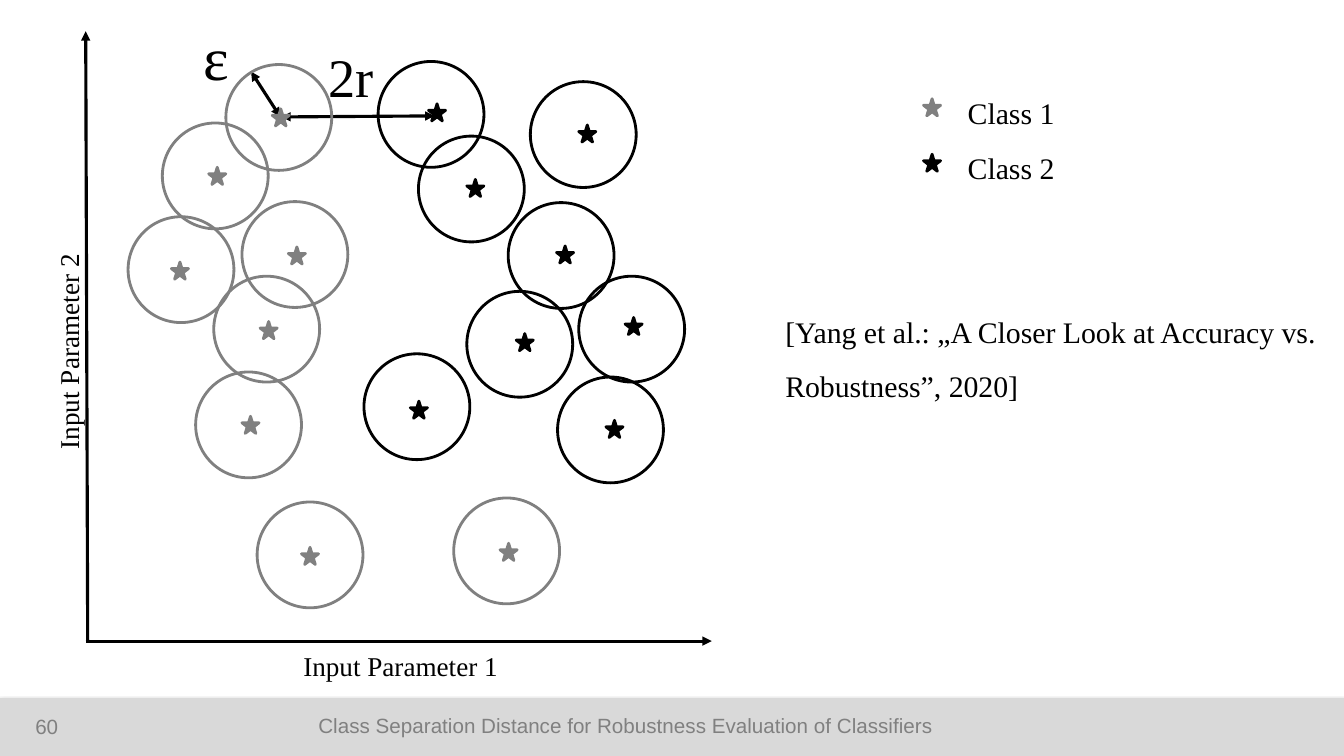
from dataclasses import dataclass

from lxml.etree import SubElement
from pptx import Presentation
from pptx.dml.color import RGBColor
from pptx.enum.shapes import MSO_CONNECTOR, MSO_SHAPE
from pptx.enum.text import MSO_ANCHOR, MSO_AUTO_SIZE, PP_ALIGN
from pptx.oxml.ns import qn
from pptx.util import Inches, Pt

COLS, ROWS = 1333, 750
RING, STAR = 105, 17


@dataclass(frozen=True)
class Theme:
    """Colours, fonts and type sizes of the slide."""
    ink: str = "000000"
    gray: str = "808080"
    band: str = "D9D9D9"
    serif: str = "Times New Roman"
    sans: str = "Arial"
    foot: float = 14.7
    axis: float = 19.4
    body: float = 21.3
    gap: float = 38.8
    eps: float = 43.6
    thin: float = 0.75
    edge: float = 2
    arrow: float = 2.25


class Board:
    """Draws elements on one slide, placed by grid columns and rows."""

    def __init__(self, deck, theme):
        """Add a blank slide and measure its grid."""
        self.theme = theme
        self.slide = deck.slides.add_slide(deck.slide_layouts[6])
        self.shapes = self.slide.shapes
        self.col = deck.slide_width / COLS
        self.row = deck.slide_height / ROWS

    def place(self, x, y):
        """Turn a column and a row into slide lengths."""
        return round(x * self.col), round(y * self.row)

    def shape(self, kind, x, y, w, h, line, width, fill=None):
        """Add a preset shape without shadow."""
        item = self.shapes.add_shape(kind, *self.place(x, y), *self.place(w, h))
        item.shadow.inherit = False
        if fill:
            item.fill.solid()
            item.fill.fore_color.rgb = RGBColor.from_string(fill)
        else:
            item.fill.background()
        item.line.color.rgb = RGBColor.from_string(line)
        item.line.width = Pt(width)
        return item

    def ring(self, x, y, color):
        """Add the circle around a data point."""
        self.shape(MSO_SHAPE.OVAL, x, y, RING, RING, color, self.theme.edge)

    def star(self, x, y, color):
        """Add the star that marks a data point."""
        self.shape(MSO_SHAPE.STAR_5_POINT, x, y, STAR, STAR, color,
                   self.theme.edge, color)

    def band(self, y, h):
        """Add the footer band with its soft shadow."""
        tone = self.theme.band
        item = self.shape(MSO_SHAPE.RECTANGLE, 0, y, COLS, h, tone,
                          self.theme.thin, tone)
        effect = item._element.spPr.find(qn("a:effectLst"))
        shade = SubElement(effect, qn("a:outerShdw"), blurRad=str(Pt(3.1)),
                           dist=str(Pt(1.8)), dir="5400000", rotWithShape="0")
        tint = SubElement(shade, qn("a:srgbClr"), val=self.theme.ink)
        SubElement(tint, qn("a:alpha"), val="35000")

    def arrow(self, start, end, both=False):
        """Add a straight arrow, with a head at one or both ends."""
        item = self.shapes.add_connector(MSO_CONNECTOR.STRAIGHT,
                                         *self.place(*start), *self.place(*end))
        item.line.color.rgb = RGBColor.from_string(self.theme.ink)
        item.line.width = Pt(self.theme.arrow)
        line = item.line._get_or_add_ln()
        for tag in ("a:headEnd", "a:tailEnd") if both else ("a:tailEnd",):
            SubElement(line, qn(tag), type="triangle")
        SubElement(item._element.spPr, qn("a:effectLst"))

    def text(self, words, x, y, w, h, size, space=1.5, turn=0):
        """Add serif text in a box that grows with it."""
        box = self.shapes.add_textbox(*self.place(x, y), *self.place(w, h))
        box.rotation = turn
        frame = box.text_frame
        frame.word_wrap = True
        frame.auto_size = MSO_AUTO_SIZE.SHAPE_TO_FIT_TEXT
        frame.text = words
        frame.paragraphs[0].line_spacing = space
        self.style(frame, self.theme.serif, size, self.theme.ink)

    def foot(self, words, x, y, w, h, align):
        """Add footer text, centred in height."""
        box = self.shapes.add_textbox(*self.place(x, y), *self.place(w, h))
        frame = box.text_frame
        frame.word_wrap = True
        frame.vertical_anchor = MSO_ANCHOR.MIDDLE
        frame.margin_left = frame.margin_right = 0
        frame.text = words
        frame.paragraphs[0].alignment = align
        self.style(frame, self.theme.sans, self.theme.foot, self.theme.gray)

    def style(self, frame, face, size, color):
        """Format the runs of a text frame."""
        for run in frame.paragraphs[0].runs:
            run.font.name = face
            run.font.size = Pt(size)
            run.font.color.rgb = RGBColor.from_string(color)

    def group(self, points, color):
        """Add the circles of one class and then its stars."""
        for x, y, _, _ in points:
            self.ring(x, y, color)
        for _, _, x, y in points:
            self.star(x, y, color)


FIRST = [
    (224, 64, 270, 108), (161, 122, 207, 166), (240, 200, 286, 245),
    (450, 494, 496, 539), (212, 274, 258, 319), (194, 369, 240, 413),
    (255, 498, 299, 543), (127, 215, 170, 260),
]
SECOND = [
    (361, 351, 407, 398), (553, 374, 601, 417), (463, 289, 512, 331),
    (504, 201, 552, 244), (415, 135, 463, 178), (375, 61, 425, 103),
    (574, 274, 620, 315), (526, 81, 574, 124),
]


def main():
    """Build the slide and save it."""
    deck = Presentation()
    deck.slide_width, deck.slide_height = Inches(13.33), Inches(7.5)
    theme = Theme()
    board = Board(deck, theme)

    board.band(693, 57)
    board.arrow((431, 115), (279, 116), both=True)
    board.text("2r", 316, 38, 79, 75, theme.gap, space=1)
    board.arrow((278, 116), (249, 71), both=True)
    board.text("ε", 192, 14, 115, 83, theme.eps, space=1)

    board.group(FIRST, theme.gray)
    board.group(SECOND, theme.ink)

    board.arrow((87, 636), (85, 31))
    board.arrow((85, 636), (706, 636))
    board.text("Input Parameter 1", 291, 623, 220, 53, theme.axis)
    board.text("Input Parameter 2", -53, 319, 220, 53, theme.axis, turn=270)

    for step, color in enumerate((theme.gray, theme.ink)):
        drop = 55 * step
        board.star(916, 98 + drop, color)
        board.text(f"Class {step + 1}", 950, 71 + drop, 127, 58, theme.body)

    board.text("[Yang et al.: „A Closer Look at Accuracy vs. Robustness”, 2020]",
               769, 289, 550, 111, theme.body)
    board.foot("60", 35, 701, 59, 40, PP_ALIGN.LEFT)
    board.foot("Class Separation Distance for Robustness Evaluation of Classifiers",
               278, 700, 685, 40, PP_ALIGN.CENTER)
    deck.save("out.pptx")


if __name__ == "__main__":
    main()
